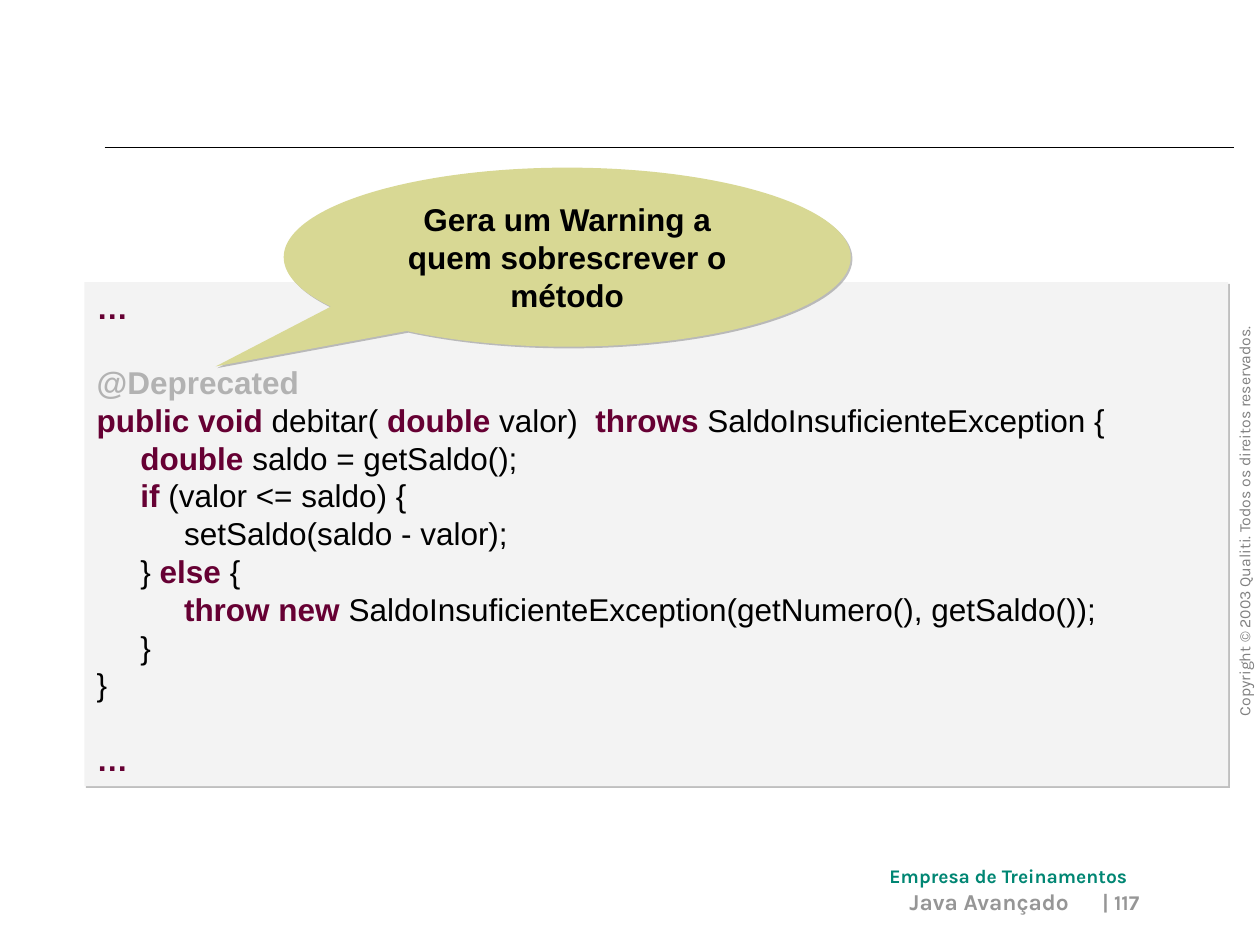
from dataclasses import dataclass

from lxml import etree
from pptx import Presentation
from pptx import util as u
from pptx.dml.color import RGBColor
from pptx.enum import shapes, text
from pptx.oxml import ns


@dataclass(frozen=True)
class Theme:
    ink: str = "000000"
    keyword: str = "660033"
    annotation: str = "B2B2B2"
    panel: str = "F3F3F3"
    bubble: str = "D8D894"
    shadow: str = "808080"
    company: str = "008673"
    footer: str = "969696"
    body_font: str = "Arial"
    footer_font: str = "Karla"
    body_size: float = 18
    course_size: float = 13
    page_size: float = 12
    company_size: float = 11
    copyright_size: float = 9


THEME = Theme()
BLANK_LINE = u.Pt(21)

# Each code line: gap before it, then pieces of (text, is keyword)
CODE = [
    (0, [("…", True)]),
    (BLANK_LINE, [("@Deprecated", True)]),
    (0, [("public void", True), (" debitar( ", False), ("double", True),
         (" valor)  ", False), ("throws", True),
         (" SaldoInsuficienteException {", False)]),
    (0, [("     double", True), (" saldo = getSaldo();", False)]),
    (0, [("     if", True), (" (valor <= saldo) {", False)]),
    (0, [("          setSaldo(saldo - valor);", False)]),
    (0, [("     } ", False), ("else", True), (" {", False)]),
    (0, [("          throw new", True),
         (" SaldoInsuficienteException(getNumero(), getSaldo());", False)]),
    (0, [("     }", False)]),
    (0, [("}", False)]),
    (BLANK_LINE, [("…", True)]),
]


def box(left, top, width, height):
    return [u.Cm(value) for value in (left, top, width, height)]


def style(font, size, color, name, bold):
    font.size = u.Pt(size)
    font.name = name
    font.bold = bold
    font.color.rgb = RGBColor.from_string(color)


def add_effects(shape):
    return etree.SubElement(shape._element.spPr, ns.qn("a:effectLst"))


def add_rule(slide, left, right, y):
    rule = slide.shapes.add_connector(
        shapes.MSO_CONNECTOR.STRAIGHT, u.Cm(left), u.Cm(y), u.Cm(right), u.Cm(y))
    rule.line.width = u.Pt(0.75)
    rule.line.color.rgb = RGBColor.from_string(THEME.ink)
    add_effects(rule)


def add_label(slide, area, words, size, color, bold=True,
              align=text.PP_ALIGN.LEFT, rotation=0):
    label = slide.shapes.add_textbox(*box(*area))
    label.rotation = rotation
    label.text_frame.word_wrap = True
    line = label.text_frame.paragraphs[0]
    line.text = words
    line.alignment = align
    style(line.font, size, color, THEME.footer_font, bold)
    return line


def add_shadowed(slide, kind, area, fill, anchor):
    """Filled shape without outline, casting a hard diagonal shadow."""
    shape = slide.shapes.add_shape(kind, *box(*area))
    shape.fill.solid()
    shape.fill.fore_color.rgb = RGBColor.from_string(fill)
    shape.line.fill.background()
    shadow = etree.SubElement(add_effects(shape), ns.qn("a:outerShdw"),
                              dist=str(u.Pt(1.4)), dir=str(45 * 60000))
    tint = etree.SubElement(shadow, ns.qn("a:srgbClr"), val=THEME.shadow)
    etree.SubElement(tint, ns.qn("a:alpha"), val="50000")
    shape.text_frame.word_wrap = True
    shape.text_frame.vertical_anchor = anchor
    return shape


def add_code(slide, area, lines):
    panel = add_shadowed(slide, shapes.MSO_SHAPE.RECTANGLE, area,
                         THEME.panel, text.MSO_ANCHOR.TOP)
    frame = panel.text_frame
    for number, (gap, pieces) in enumerate(lines):
        line = frame.add_paragraph() if number else frame.paragraphs[0]
        line.alignment = text.PP_ALIGN.LEFT
        line.space_before = gap
        for words, is_keyword in pieces:
            color = THEME.keyword if is_keyword else THEME.ink
            if words.startswith("@"):
                color = THEME.annotation
            piece = line.add_run()
            piece.text = words
            style(piece.font, THEME.body_size, color, THEME.body_font, is_keyword)


def add_callout(slide, area, tip, words):
    callout = add_shadowed(slide, shapes.MSO_SHAPE.OVAL_CALLOUT, area,
                           THEME.bubble, text.MSO_ANCHOR.MIDDLE)
    for index, offset in enumerate(tip):
        callout.adjustments[index] = offset
    line = callout.text_frame.paragraphs[0]
    line.text = words
    line.alignment = text.PP_ALIGN.CENTER
    style(line.font, THEME.body_size, THEME.ink, THEME.body_font, True)


def main():
    deck = Presentation()
    deck.slide_width, deck.slide_height = u.Cm(25.4), u.Cm(19.05)
    slide = deck.slides.add_slide(deck.slide_layouts[6])

    # Frame of the page: rule, copyright and footer
    add_rule(slide, 2.11, 24.87, 2.97)
    add_label(slide, (20.73, 10.01, 8.71, 0.64),
              "Copyright © 2003 Qualiti. Todos os direitos reservados.",
              THEME.copyright_size, THEME.shadow, bold=False, rotation=270)
    add_label(slide, (17.68, 17.3, 5.69, 0.74), "Empresa de Treinamentos",
              THEME.company_size, THEME.company)
    page = add_label(slide, (10.95, 17.86, 12.27, 0.84), "| 117", THEME.page_size,
                     THEME.footer, align=text.PP_ALIGN.RIGHT)
    page.line_spacing = 0.9
    add_label(slide, (6.78, 17.78, 15.01, 0.84), "Java Avançado",
              THEME.course_size, THEME.footer, align=text.PP_ALIGN.RIGHT)

    # Code example and the remark pointing at its annotation
    add_code(slide, (1.7, 5.69, 23.06, 10.16), CODE)
    add_callout(slide, (5.72, 3.38, 11.43, 3.61), (-0.62, 0.61),
                "Gera um Warning a quem sobrescrever o método")

    deck.save("out.pptx")


if __name__ == "__main__":
    main()
